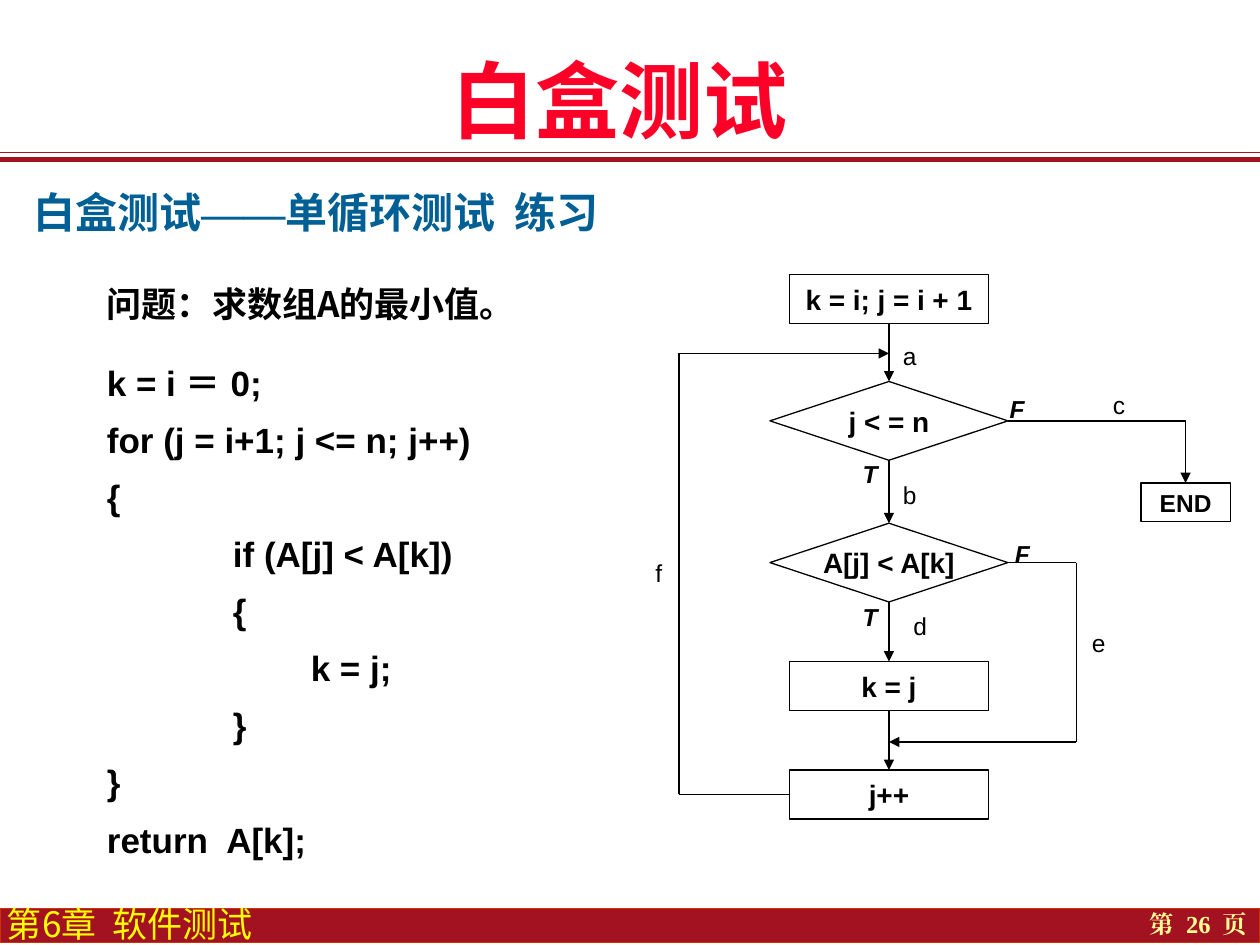
from lxml.etree import SubElement
from pptx import Presentation
from pptx.dml.color import RGBColor
from pptx.enum.shapes import MSO_CONNECTOR, MSO_SHAPE
from pptx.enum.text import MSO_ANCHOR, MSO_AUTO_SIZE, PP_ALIGN
from pptx.oxml.ns import qn
from pptx.util import Pt

BLACK = RGBColor(0x00, 0x00, 0x00)
RED = RGBColor(0xFC, 0x01, 0x28)
BLUE = RGBColor(0x00, 0x5F, 0x94)
CRIMSON = RGBColor(0xA3, 0x12, 0x21)
ORANGE = RGBColor(0xCC, 0x33, 0x00)
YELLOW = RGBColor(0xFF, 0xFF, 0x00)
CREAM = RGBColor(0xFF, 0xFF, 0x99)
CJK, SANS, SERIF = "Noto Sans CJK SC", "Arial", "Times New Roman"
TOP, LEFT, BOTTOM, RIGHT = range(4)

CODE = [
    ("k = i ＝ 0;", 0),
    ("for (j = i+1; j <= n; j++)", 0),
    ("{", 0),
    ("if (A[j] < A[k])", 72),
    ("{", 72),
    ("k = j;", 116.5),
    ("}", 72),
    ("}", 0),
    ("return  A[k];", 0),
]
BRANCH_LABELS = [
    ("a", 516, 197), ("b", 516, 276), ("c", 636, 225),
    ("d", 522, 351), ("e", 624, 361), ("f", 374.5, 321),
]
TRUTH_LABELS = [("T", 493, 264), ("T", 493, 346), ("F", 577, 227), ("F", 580, 310)]


def add_span(para, text, font, size, color=BLACK, bold=False, italic=False):
    """Append one formatted run to a paragraph."""
    span = para.add_run()
    span.text = text
    span.font.name, span.font.size = font, Pt(size)
    span.font.bold, span.font.italic = bold, italic
    span.font.color.rgb = color
    SubElement(span.font._element, qn("a:ea")).set("typeface", font)


def set_frame(frame, inset_x=0, inset_y=0, anchor=MSO_ANCHOR.TOP, wrap=True):
    """Set the insets, anchor and wrapping of a text frame."""
    frame.margin_left = frame.margin_right = Pt(inset_x)
    frame.margin_top = frame.margin_bottom = Pt(inset_y)
    frame.vertical_anchor = anchor
    frame.auto_size = MSO_AUTO_SIZE.NONE
    frame.word_wrap = wrap


def add_text(page, left, top, width, height, spans, spacing=1.0,
             align=PP_ALIGN.LEFT, **frame_options):
    """Add a text box whose first paragraph holds the given spans."""
    box = page.shapes.add_textbox(Pt(left), Pt(top), Pt(width), Pt(height))
    set_frame(box.text_frame, **frame_options)
    para = box.text_frame.paragraphs[0]
    para.alignment, para.line_spacing = align, spacing
    for span in spans:
        add_span(para, *span)
    return box


def add_line(page, start, end, color=BLACK, weight=0.75, arrow=False):
    """Add a straight line between two points given in EMU."""
    line = page.shapes.add_connector(MSO_CONNECTOR.STRAIGHT, *start, *end)
    line.line.color.rgb = color
    line.line.width = Pt(weight)
    if arrow:
        tail = SubElement(line.line._get_or_add_ln(), qn("a:tailEnd"))
        tail.set("type", "triangle")
    SubElement(line._element.spPr, qn("a:effectLst"))
    return line


def side_point(shape, side):
    """Return the middle of one side of a shape."""
    return {
        TOP: (shape.left + shape.width // 2, shape.top),
        LEFT: (shape.left, shape.top + shape.height // 2),
        BOTTOM: (shape.left + shape.width // 2, shape.top + shape.height),
        RIGHT: (shape.left + shape.width, shape.top + shape.height // 2),
    }[side]


def add_route(page, source, corners=(), target=None):
    """Run straight segments from a shape side through corners to an arrowhead."""
    points = [side_point(*source)] + [(Pt(x), Pt(y)) for x, y in corners]
    if target:
        points.append(side_point(*target))
    last = len(points) - 2
    for index, (start, end) in enumerate(zip(points, points[1:])):
        line = add_line(page, start, end, arrow=index == last)
        if index == 0:
            line.begin_connect(*source)
        if target and index == last:
            line.end_connect(*target)


def add_node(page, kind, text, left, top, width, height, size=16):
    """Add an outlined flowchart node with centred bold text."""
    node = page.shapes.add_shape(kind, Pt(left), Pt(top), Pt(width), Pt(height))
    node.shadow.inherit = False
    node.fill.background()
    node.line.color.rgb = BLACK
    node.line.width = Pt(0.75)
    set_frame(node.text_frame, anchor=MSO_ANCHOR.MIDDLE, wrap=False)
    para = node.text_frame.paragraphs[0]
    para.alignment = PP_ALIGN.CENTER
    add_span(para, text, SANS, size, bold=True)
    return node


def add_title(page):
    """Place and format the title and its double rule."""
    title = page.shapes.title
    title.left, title.top, title.width, title.height = Pt(186), Pt(24), Pt(336), Pt(65)
    set_frame(title.text_frame, 7.2, 3.6, MSO_ANCHOR.MIDDLE)
    para = title.text_frame.paragraphs[0]
    para.alignment = PP_ALIGN.CENTER
    add_span(para, "白盒测试", CJK, 48, RED, True)
    for top, weight in ((87, 0.75), (91, 3)):
        add_line(page, (0, Pt(top)), (Pt(720), Pt(top)), CRIMSON, weight)


def add_footer(page):
    """Add the footer band with chapter name and page number."""
    band = page.shapes.add_shape(MSO_SHAPE.RECTANGLE, 0, Pt(519), Pt(720), Pt(19.5))
    band.shadow.inherit = False
    band.fill.solid()
    band.fill.fore_color.rgb = CRIMSON
    band.line.color.rgb = ORANGE
    band.line.width = Pt(0.75)
    add_text(page, 607, 516, 113, 24, [("第  26  页", SERIF, 14, CREAM, True)],
             align=PP_ALIGN.RIGHT, inset_x=7.2, inset_y=3.6)
    add_text(page, 4, 521, 164, 19, [("第6章  软件测试", CJK, 20, YELLOW)],
             spacing=0.85, anchor=MSO_ANCHOR.BOTTOM)


def add_code(page):
    """Add the problem statement followed by its code."""
    box = add_text(page, 54, 153, 290, 358,
                   [("问题：求数组A的最小值。", CJK, 20, BLACK, True)],
                   spacing=1.2, inset_x=7.2, inset_y=3.6)
    box.text_frame.paragraphs[0].space_after = Pt(24)
    for text, indent in CODE:
        para = box.text_frame.add_paragraph()
        para.line_spacing, para.space_after = 0.9, Pt(11)
        para._p.get_or_add_pPr().set("marL", str(Pt(indent)))
        add_span(para, text, SANS, 20, bold=True)


def add_flowchart(page):
    """Add the flowchart nodes, routes and labels."""
    steps = [add_node(page, MSO_SHAPE.RECTANGLE, text, 451, top, 114, 28)
             for text, top in (("k = i; j = i + 1", 157), ("k = j", 378), ("j++", 440))]
    tests = [add_node(page, MSO_SHAPE.DIAMOND, text, 440, top, 136, 45)
             for text, top in (("j < = n", 218), ("A[j] < A[k]", 299))]
    finish = add_node(page, MSO_SHAPE.RECTANGLE, "END", 652, 276, 51, 22, 14)
    start, assign, advance = steps
    in_range, smaller = tests
    sequence = [start, in_range, smaller, assign, advance]
    for upper, lower in zip(sequence, sequence[1:]):
        add_route(page, (upper, BOTTOM), target=(lower, TOP))
    add_route(page, (advance, LEFT), [(388, 454), (388, 202), (508, 202)])
    add_route(page, (in_range, RIGHT), [(677.5, 240.5)], (finish, TOP))
    add_route(page, (smaller, RIGHT), [(615, 321.5), (615, 424), (508, 424)])
    for labels, strong in ((BRANCH_LABELS, False), (TRUTH_LABELS, True)):
        for text, left, top in labels:
            add_text(page, left, top, 14, 15,
                     [(text, SANS, 14, BLACK, strong, strong)], spacing=0.9)


def main():
    """Build and save the deck."""
    deck = Presentation()
    deck.slide_width, deck.slide_height = Pt(720), Pt(540)
    page = deck.slides.add_slide(deck.slide_layouts[5])
    add_title(page)
    add_footer(page)
    add_text(page, 12, 100, 399, 39,
             [("白盒测试", CJK, 24, BLUE, True), ("——", SERIF, 24, BLUE, True),
              ("单循环测试  练习", CJK, 24, BLUE, True)],
             spacing=1.1, inset_x=7.2, inset_y=3.6)
    add_code(page)
    add_flowchart(page)
    deck.save("out.pptx")


if __name__ == "__main__":
    main()
